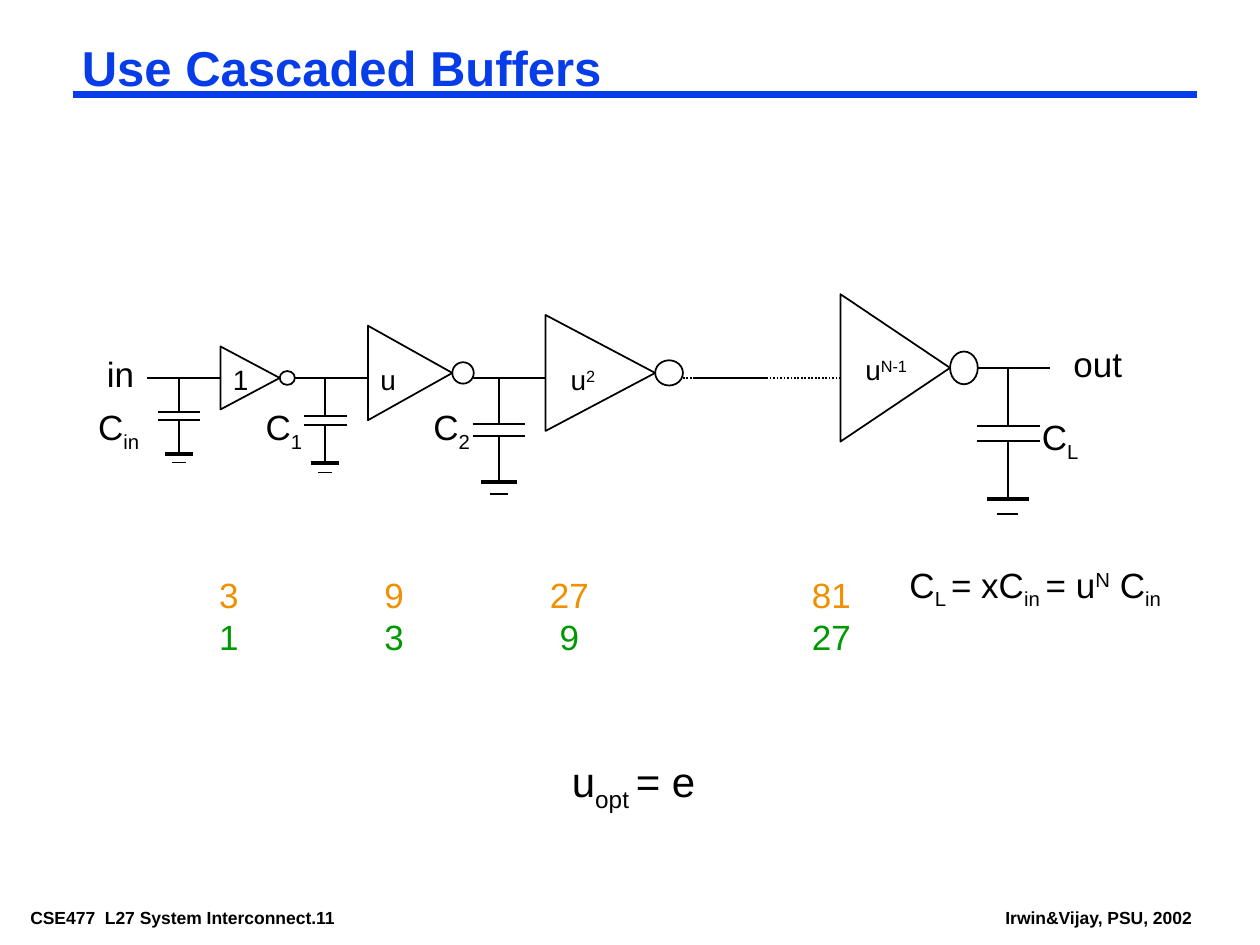
"""Build the slide on cascaded buffers."""
import pptx
import pptx.dml.color
import pptx.enum.dml
import pptx.enum.shapes
import pptx.enum.text
import pptx.oxml
import pptx.oxml.ns
import pptx.util
from pptx.util import Inches

BLACK, BLUE, ORANGE, GREEN = "000000", "063DE8", "F08F00", "009900"
SUB, SUP = -25000, 30000
SLIM, WIDE = (0.07, 0.03), (0.1, 0.05)

FOOTERS = [
    (0.17, 7.17, 3.08, 0.22, ["CSE477  L27 System Interconnect.11"]),
    (7.91, 7.17, 1.63, 0.22, ["Irwin&Vijay, PSU, 2002"]),
]
TITLE = (0.58, 0.33, 8.92, 0.46, ["Use Cascaded Buffers"])
LABELS = [
    (0.75, 2.75, 0.41, 0.44, 20, ["in"]),
    (8.42, 2.67, 0.58, 0.44, 20, ["out"]),
    (7.12, 4.42, 2.2, 0.48, 20,
     ["C", ("L ", SUB), "= xC", ("in ", SUB), "= u", ("N", SUP), " C", ("in", SUB)]),
    (8.17, 3.25, 0.49, 0.48, 20, ["C", ("L", SUB)]),
    (0.68, 3.17, 0.52, 0.48, 20, ["C", ("in", SUB)]),
    (2.01, 3.17, 0.49, 0.48, 20, ["C", ("1", SUB)]),
    (3.34, 3.17, 0.49, 0.48, 20, ["C", ("2", SUB)]),
    (1.75, 2.83, 0.32, 0.37, 16, ["1"]),
    (2.92, 2.83, 0.32, 0.37, 16, ["u"]),
    (4.43, 2.83, 0.39, 0.37, 16, ["u", ("2", SUP)]),
    (6.77, 2.75, 0.53, 0.37, 16, ["u", ("N-1", SUP)]),
    (4.44, 5.95, 1.18, 0.56, 24, ["u", ("opt ", SUB), "= e"]),
]
STAGE_VALUES = [(ORANGE, ["3", "9", "27", "81"]), (GREEN, ["1", "3", "9", "27"])]
STAGE_TABS = [1.39, 2.78, 4.86]

# left, centre y, width, height, bubble width, bubble height
INVERTERS = [
    (1.75, 3, 0.47, 0.5, 0.12, 0.11),
    (2.92, 2.96, 0.67, 0.75, 0.17, 0.17),
    (4.33, 2.96, 0.87, 0.92, 0.22, 0.2),
    (6.67, 2.92, 0.87, 1.17, 0.22, 0.26),
]
WIRES = [(1.17, 1.75, 3), (2.33, 2.92, 3), (3.75, 4.33, 3), (5.5, 6.08, 3), (7.75, 8.33, 2.92)]
OMITTED_STAGES = (5.42, 6.67, 3)
# centre x, top, height, half plate width
CAPACITORS = [
    (8, 2.92, 1.16, 0.25),
    (1.42, 3, 0.67, 0.17),
    (2.58, 3, 0.75, 0.17),
    (3.96, 3, 0.92, 0.21),
]


def color(code):
    return pptx.dml.color.RGBColor.from_string(code)


def apply(target, values):
    for name, value in values.items():
        setattr(target, name, value)


def add_line(slide, x1, y1, x2, y2, width=1, code=BLACK, dash=None):
    line = slide.shapes.add_connector(
        pptx.enum.shapes.MSO_CONNECTOR.STRAIGHT, *map(Inches, (x1, y1, x2, y2)))
    line.line.color.rgb = color(code)
    apply(line.line, {"width": pptx.util.Pt(width), "dash_style": dash})
    properties = line._element.spPr
    properties.append(pptx.oxml.parse_xml(
        "<a:effectLst %s/>" % pptx.oxml.ns.nsdecls("a")))


def add_outline(slide, kind, left, middle, width, height, rotation=0):
    outline = slide.shapes.add_shape(
        kind, *map(Inches, (left, middle - height / 2, width, height)))
    outline.rotation = rotation
    outline.shadow.inherit = False
    outline.fill.background()
    outline.line.color.rgb = color(BLACK)
    outline.line.width = pptx.util.Pt(1)


def add_text(slide, box, inset, wrap=False):
    frame = slide.shapes.add_textbox(*map(Inches, box)).text_frame
    across, down = map(Inches, inset)
    apply(frame, {"margin_left": across, "margin_right": across,
                  "margin_top": down, "margin_bottom": down, "word_wrap": wrap,
                  "auto_size": pptx.enum.text.MSO_AUTO_SIZE.NONE})
    return frame


def write(paragraph, pieces, size, code=BLACK, bold=False):
    for piece in pieces:
        words, baseline = (piece, 0) if isinstance(piece, str) else piece
        run = paragraph.add_run()
        run.text = words
        apply(run.font, {"name": "Arial", "size": pptx.util.Pt(size), "bold": bold})
        run.font.color.rgb = color(code)
        if baseline:
            run._r.get_or_add_rPr().set("baseline", str(baseline))


def add_capacitor(slide, x, top, height, half):
    upper, lower, ground, tip = (top + height * part for part in (0.4, 0.5, 0.9, 1))
    for start, end in [(top, upper), (lower, ground)]:
        add_line(slide, x, start, x, end)
    for y, reach, width in [(upper, half, 1), (lower, half, 1),
                            (ground, half * 2 / 3, 2.25), (tip, half / 3, 1)]:
        add_line(slide, x - reach, y, x + reach, y, width)


def add_inverter(slide, left, middle, width, height, bubble_width, bubble_height):
    kinds = pptx.enum.shapes.MSO_SHAPE
    add_outline(slide, kinds.ISOSCELES_TRIANGLE, left + (width - height) / 2,
                middle, height, width, 90)
    add_outline(slide, kinds.OVAL, left + width, middle, bubble_width, bubble_height)


def add_stage_values(slide):
    frame = add_text(slide, (1.64, 4.5, 5.4, 0.77), WIDE, True)
    for row, (code, values) in enumerate(STAGE_VALUES):
        paragraph = frame.add_paragraph() if row else frame.paragraphs[0]
        stops = "".join('<a:tab pos="%d" algn="ctr"/>' % Inches(x) for x in STAGE_TABS)
        paragraph._p.get_or_add_pPr().append(pptx.oxml.parse_xml(
            "<a:tabLst %s>%s</a:tabLst>" % (pptx.oxml.ns.nsdecls("a"), stops)))
        write(paragraph, ["\t".join(values)], 20, code)


def main():
    deck = pptx.Presentation()
    apply(deck, {"slide_width": Inches(10), "slide_height": Inches(7.5)})
    slide = deck.slides.add_slide(deck.slide_layouts[6])
    for *box, pieces in FOOTERS:
        write(add_text(slide, box, SLIM).paragraphs[0], pieces, 10, bold=True)
    add_line(slide, 0.58, 0.75, 9.5, 0.75, 4.5, BLUE)
    *box, pieces = TITLE
    heading = add_text(slide, box, SLIM, True).paragraphs[0]
    heading.line_spacing = 0.87
    write(heading, pieces, 28, BLUE, True)
    for inverter in INVERTERS:
        add_inverter(slide, *inverter)
    for start, end, y in WIRES:
        add_line(slide, start, y, end, y)
    start, end, y = OMITTED_STAGES
    add_line(slide, start, y, end, y, dash=pptx.enum.dml.MSO_LINE.ROUND_DOT)
    for capacitor in CAPACITORS:
        add_capacitor(slide, *capacitor)
    for *box, size, pieces in LABELS:
        write(add_text(slide, box, WIDE).paragraphs[0], pieces, size)
    add_stage_values(slide)
    deck.save("out.pptx")


if __name__ == "__main__":
    main()
